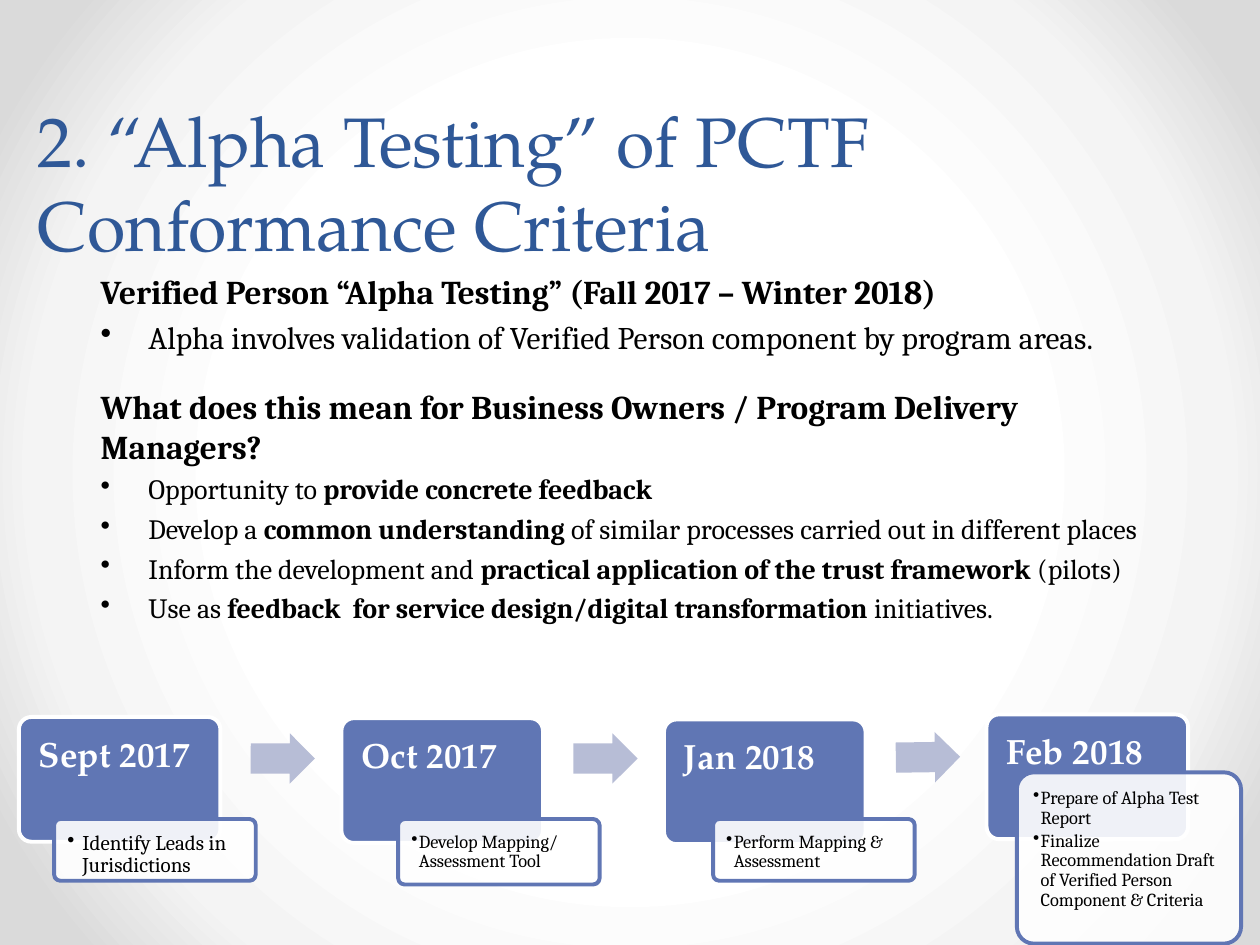
from lxml import etree
from pptx import Presentation, util as u
from pptx.dml.color import RGBColor
from pptx.enum import shapes, text
from pptx.oxml.ns import qn

DISPLAY, BODY = "TeX Gyre Pagella", "Cambria"
BLUE, TITLE_BLUE, PALE_BLUE = "6076B4", "2F5897", "B7BDD6"
WHITE, BLACK = "FFFFFF", "000000"
BACKDROP = [(50, WHITE), (76, "F4F4F4"), (92, "DADADA")]

HEADING = {"size": 19, "bold": True}
CRITERIA = [
    (["Verified Person “Alpha Testing” (Fall 2017 – Winter 2018)"], 19, 4, False),
    (["Alpha involves validation of Verified Person component by program areas."],
     18, 4, True),
    (["What does this mean for Business Owners / Program Delivery Managers?"],
     19, 17.5, False),
    (["Opportunity to ", "provide concrete feedback"], 16, 3.5, True),
    (["Develop a ", "common understanding ",
      "of similar processes carried out in different places"], 16, 3.5, True),
    (["Inform the development and ", "practical application of the trust framework ",
      "(pilots)"], 16, 3.5, True),
    (["Use as ", "feedback  for service design/digital transformation ",
      "initiatives."], 16, 3.5, True),
]

STAGES = [
    {"month": "Sept 2017", "top": 5.69, "tasks": ["Identify Leads in Jurisdictions"],
     "task_box": (0.43, 6.5, 1.6, 0.49), "size": 12, "indent": 0.12},
    {"month": "Oct 2017", "top": 5.7, "tasks": ["Develop Mapping/ Assessment Tool"],
     "task_box": (3.16, 6.5, 1.6, 0.52), "size": 10.5, "indent": 0.06},
    {"month": "Jan 2018", "top": 5.71, "tasks": ["Perform Mapping & Assessment"],
     "task_box": (5.66, 6.5, 1.6, 0.49), "size": 10.5, "indent": 0.06},
    {"month": "Feb 2018", "top": 5.67,
     "tasks": ["Prepare of Alpha Test Report",
               "Finalize Recommendation Draft of Verified Person Component & Criteria"],
     "task_box": (8.07, 6.13, 1.78, 1.36), "size": 10.5, "indent": 0.06},
]
ARROWS = [(5.82, 0.1), (5.82, 0.1), (5.81, -0.8)]


def rgb(value):
    """Return the colour for a hex string."""
    return RGBColor.from_string(value)


def inches(box):
    """Convert a box of numbers to lengths."""
    return [u.Inches(length) for length in box]


def apply(target, values):
    """Set every attribute in a dict of format values."""
    for name, value in values.items():
        setattr(target, name, value)


def set_frame(frame, inset, anchor=text.MSO_ANCHOR.TOP):
    """Give a text frame its wrapping, anchor and left, top, right, bottom insets."""
    left, top, right, bottom = inches(inset)
    apply(frame, {"word_wrap": True, "vertical_anchor": anchor,
                  "margin_left": left, "margin_top": top,
                  "margin_right": right, "margin_bottom": bottom})


def add_run(paragraph, words, size, font, color, bold=False):
    """Add one formatted run to a paragraph."""
    run = paragraph.add_run()
    run.text = words
    apply(run.font, {"size": u.Pt(size), "name": font, "bold": bold})
    run.font.color.rgb = rgb(color)


def add_bullet(paragraph, indent):
    """Give a paragraph a bullet with a hanging indent."""
    properties = paragraph._p.get_or_add_pPr()
    properties.set("marL", str(u.Inches(indent)))
    properties.set("indent", str(u.Inches(-indent)))
    etree.SubElement(properties, qn("a:buChar")).set("char", "•")


def paragraphs(frame, count):
    """Return the given number of paragraphs of an empty frame."""
    return [frame.paragraphs[0]] + [frame.add_paragraph() for _ in range(count - 1)]


def add_block(slide, kind, box, fill, line=None):
    """Draw a filled preset shape without a shadow."""
    block = slide.shapes.add_shape(kind, *inches(box))
    block.shadow.inherit = False
    block.fill.solid()
    block.fill.fore_color.rgb = rgb(fill)
    if line:
        block.line.color.rgb = rgb(line)
        block.line.width = u.Pt(2.25)
    else:
        block.line.fill.background()
    return block


def add_card(slide, box, fill, line, inset):
    """Draw a rounded card ready for left-aligned text."""
    card = add_block(slide, shapes.MSO_SHAPE.ROUNDED_RECTANGLE, box, fill, line)
    card.adjustments[0] = 0.1
    set_frame(card.text_frame, inset)
    return card


def paint_background(slide):
    """Fill the background with a circular gradient."""
    slide.background.fill.gradient()
    gradient = slide.element.find(".//" + qn("a:gradFill"))
    for child in list(gradient):
        gradient.remove(child)
    stops = etree.SubElement(gradient, qn("a:gsLst"))
    for position, color in BACKDROP:
        stop = etree.SubElement(stops, qn("a:gs"), pos=str(position * 1000))
        etree.SubElement(stop, qn("a:srgbClr"), val=color)
    circle = etree.SubElement(gradient, qn("a:path"), path="circle")
    etree.SubElement(circle, qn("a:fillToRect"),
                     {side: "50000" for side in "ltrb"})


def add_title(slide, box):
    """Place the slide title."""
    frame = slide.shapes.add_textbox(*inches(box)).text_frame
    set_frame(frame, (0.1, 0.05, 0.1, 0.05), text.MSO_ANCHOR.BOTTOM)
    add_run(frame.paragraphs[0], "2. “Alpha Testing” of PCTF Conformance Criteria",
            40, DISPLAY, TITLE_BLUE)


def add_criteria(slide, box):
    """Place the headings and bullets, with every second run of a bullet bold."""
    frame = slide.shapes.add_textbox(*inches(box)).text_frame
    set_frame(frame, (0.1, 0.05, 0.1, 0.05))
    lines = paragraphs(frame, len(CRITERIA))
    for line, (parts, size, gap, bulleted) in zip(lines, CRITERIA):
        line.space_before = u.Pt(gap)
        if bulleted:
            add_bullet(line, 0.38)
        for index, part in enumerate(parts):
            add_run(line, part, size, BODY, BLACK, not bulleted or index % 2 == 1)


def add_stage(slide, box, stage):
    """Place a month card and the task card that overlaps it."""
    month = add_card(slide, box, BLUE, WHITE, (0.13, 0.13, 0.13, 0.08))
    label = month.text_frame.paragraphs[0]
    apply(label, {"alignment": text.PP_ALIGN.LEFT, "line_spacing": 0.9})
    add_run(label, stage["month"], 20, DISPLAY, WHITE, True)

    tasks = add_card(slide, stage["task_box"], WHITE, BLUE, (0.09,) * 4)
    white = tasks.fill._xPr.find(".//" + qn("a:srgbClr"))
    etree.SubElement(white, qn("a:alpha"), val="90000")
    lines = paragraphs(tasks.text_frame, len(stage["tasks"]))
    for line, task in zip(lines, stage["tasks"]):
        apply(line, {"alignment": text.PP_ALIGN.LEFT, "line_spacing": 0.9,
                     "space_after": u.Pt(1.6)})
        add_bullet(line, stage["indent"])
        add_run(line, task, stage["size"], BODY, BLACK)


def add_timeline(slide, left, pitch):
    """Place the stages at an equal pitch with arrows between them."""
    for index, stage in enumerate(STAGES):
        add_stage(slide, (left + index * pitch, stage["top"], 1.6, 0.99), stage)
    for index, (top, angle) in enumerate(ARROWS):
        arrow = add_block(slide, shapes.MSO_SHAPE.RIGHT_ARROW,
                          (left + index * pitch + 1.84, top, 0.51, 0.4), PALE_BLUE)
        arrow.adjustments[0] = 0.6
        arrow.rotation = angle


def main():
    """Build and save the slide."""
    deck = Presentation()
    apply(deck, {"slide_width": u.Inches(10), "slide_height": u.Inches(7.5)})
    slide = deck.slides.add_slide(deck.slide_layouts[6])
    paint_background(slide)
    add_title(slide, (0.2, 1.39, 8.58, 0.77))
    add_criteria(slide, (0.7, 2.1, 8.61, 4.09))
    add_timeline(slide, 0.15, 2.56)
    deck.save("out.pptx")


if __name__ == "__main__":
    main()
